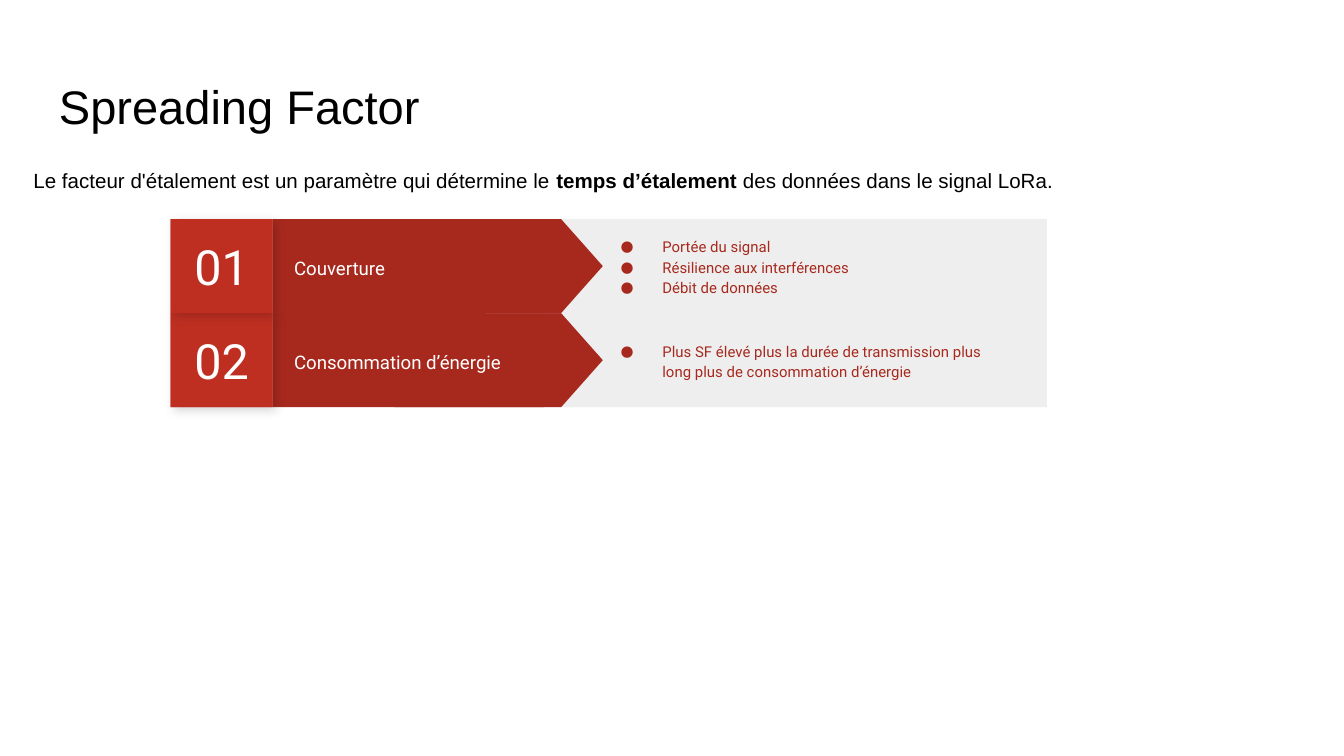
"""Build the Spreading Factor slide with two numbered effect rows."""
import pptx
import pptx.dml.color
import pptx.enum.shapes
import pptx.enum.text
import pptx.oxml
import pptx.oxml.ns
import pptx.util
from pptx.util import Inches

RGBColor = pptx.dml.color.RGBColor
SHAPE = pptx.enum.shapes.MSO_SHAPE
ANCHOR = pptx.enum.text.MSO_ANCHOR
BLACK = RGBColor(0x00, 0x00, 0x00)
WHITE = RGBColor(0xFF, 0xFF, 0xFF)
GREY = RGBColor(0xEE, 0xEE, 0xEE)
DARK_RED = RGBColor(0xA7, 0x29, 0x1E)
SHADE_RED = RGBColor(0xB0, 0x2B, 0x20)
BRIGHT_RED = RGBColor(0xBE, 0x2F, 0x22)
NS = pptx.oxml.ns.nsdecls("a")
SHADOW = (
    f'<a:effectLst {NS}><a:outerShdw blurRad="71120" dist="27940" dir="2700000" '
    'algn="bl" rotWithShape="0"><a:srgbClr val="000000"><a:alpha val="17000"/>'
    "</a:srgbClr></a:outerShdw></a:effectLst>"
)
BULLET = (
    f'<a:buClr {NS}><a:srgbClr val="{DARK_RED}"/></a:buClr>',
    f'<a:buSzPts {NS} val="800"/>',
    f'<a:buFont {NS} typeface="Roboto"/>',
    f'<a:buChar {NS} char="●"/>',
)


def add_block(shapes, kind, left, top, width, height, color):
    block = shapes.add_shape(kind, Inches(left), Inches(top), Inches(width), Inches(height))
    block.shadow.inherit = False
    block.fill.solid()
    block.fill.fore_color.rgb = color
    block.line.fill.background()
    return block


def write_text(box, text, size, font, color, anchor=ANCHOR.MIDDLE, spacing=1.15, bullets=False):
    frame = box.text_frame
    frame.word_wrap = True
    frame.vertical_anchor = anchor
    frame.margin_left = frame.margin_right = Inches(0.1)
    frame.margin_top = frame.margin_bottom = Inches(0.1)
    frame.text = text
    for paragraph in frame.paragraphs:
        paragraph.line_spacing = spacing
        if bullets:
            properties = paragraph._p.get_or_add_pPr()
            properties.set("marL", str(Inches(0.5)))
            properties.set("indent", str(Inches(-0.31)))
            for element in BULLET:
                properties.append(pptx.oxml.parse_xml(element))
        for run in paragraph.runs:
            run.font.size = pptx.util.Pt(size)
            run.font.name = font
            run.font.color.rgb = color
    return frame


presentation = pptx.Presentation()
presentation.slide_width = Inches(10)
presentation.slide_height = Inches(10) * 9 // 16
slide = presentation.slides.add_slide(presentation.slide_layouts[6])

title = slide.shapes.add_textbox(Inches(0.34), Inches(0.48), Inches(9.32), Inches(0.63))
write_text(title, "Spreading Factor", 25.2, "Arial", BLACK, ANCHOR.TOP, 1)

definition = slide.shapes.add_textbox(Inches(0.15), Inches(1.12), Inches(9.32), Inches(3.74))
sentence = write_text(
    definition, "Le facteur d'étalement est un paramètre qui détermine le ",
    11, "Arial", BLACK, ANCHOR.TOP,
).paragraphs[0]
for words, bold in (("temps d’étalement", True), (" des données dans le signal LoRa.", False)):
    run = sentence.add_run()
    run.text = words
    run.font.size = pptx.util.Pt(11)
    run.font.name = "Arial"
    run.font.color.rgb = BLACK
    run.font.bold = bold

ROW_TOP, ROW_HEIGHT = 1.63, 0.7
effects = [
    ("01", "Couverture", "Portée du signal\nRésilience aux interférences\nDébit de données"),
    ("02", "Consommation d’énergie",
     "Plus SF élevé plus la durée de transmission plus long plus de consommation d’énergie"),
]
for index, (number, heading, details) in reversed(list(enumerate(effects))):
    top = ROW_TOP + index * ROW_HEIGHT
    row = slide.shapes.add_group_shape().shapes
    add_block(row, SHAPE.RECTANGLE, 3.61, top, 4.18, ROW_HEIGHT, GREY)
    add_block(row, SHAPE.RECTANGLE, 2.03, top, 2.02, ROW_HEIGHT, DARK_RED)
    arrow = add_block(row, SHAPE.FLOWCHART_OFFPAGE_CONNECTOR,
                      3.36, top + (ROW_HEIGHT - 1.55) / 2, ROW_HEIGHT, 1.55, DARK_RED)
    arrow.rotation = 270

    heading_box = row.add_textbox(Inches(2.09), Inches(top + 0.08), Inches(2.12), Inches(0.54))
    write_text(heading_box, heading, 10, "Roboto", WHITE)

    shade = add_block(row, SHAPE.RECTANGLE, 1.27, top, 0.76, ROW_HEIGHT, SHADE_RED)
    properties = shade._element.spPr
    properties.remove(properties.find(pptx.oxml.ns.qn("a:effectLst")))
    properties.append(pptx.oxml.parse_xml(SHADOW))

    number_tile = add_block(row, SHAPE.RECTANGLE, 1.27, top, 0.76, ROW_HEIGHT, BRIGHT_RED)
    number_frame = write_text(number_tile, number, 26, "Roboto", WHITE, spacing=1)
    number_frame.paragraphs[0].alignment = pptx.enum.text.PP_ALIGN.CENTER

    details_box = row.add_textbox(Inches(4.33), Inches(top), Inches(3.25), Inches(ROW_HEIGHT))
    write_text(details_box, details, 8, "Roboto", DARK_RED, bullets=True)

presentation.save("out.pptx")
